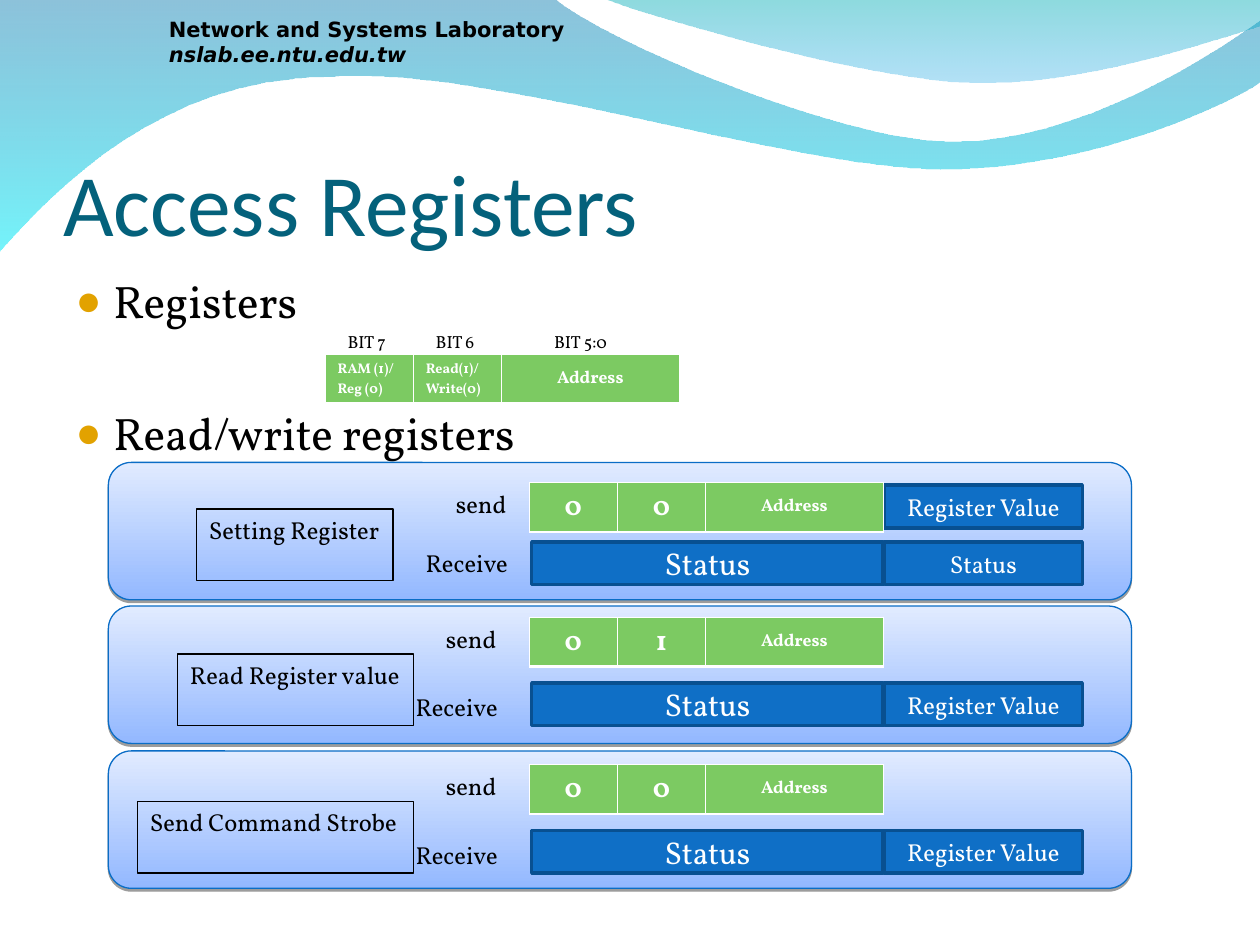
from lxml.etree import SubElement
from pptx import Presentation
from pptx.dml.color import RGBColor
from pptx.enum.shapes import MSO_SHAPE
from pptx.enum.text import MSO_ANCHOR, MSO_AUTO_SIZE, PP_ALIGN
from pptx.oxml.ns import qn
from pptx.util import Inches, Pt

WHITE = RGBColor(0xFF, 0xFF, 0xFF)
BLACK = RGBColor(0, 0, 0)
TEAL = RGBColor(0x04, 0x61, 0x7B)
GOLD = RGBColor(0xE2, 0xA2, 0x00)
GREEN = RGBColor(0x7C, 0xCA, 0x62)
BLUE = RGBColor(0x0F, 0x6F, 0xC6)
NAVY = RGBColor(0x08, 0x50, 0x91)
EDGE = RGBColor(0x0A, 0x6D, 0xC6)
PALE = RGBColor(0xE1, 0xEB, 0xFF)
SKY = RGBColor(0x93, 0xB8, 0xFF)
DEEP = RGBColor(0x00, 0x79, 0xAF)
AQUA = RGBColor(0x00, 0xEB, 0xF8)
SEA = RGBColor(0x00, 0xAD, 0xB6)
AZURE = RGBColor(0x00, 0x9B, 0xE5)
SERIF = "Vollkorn"

LOWER = [
    [(0, 0)], [(4.4, -0.01)],
    [(4.76, 0.3), (6.64, 1.12), (7.58, 1.12)],
    [(8.53, 1.12), (9.58, 0.46), (10, 0.16)],
    [(10.01, 0.64)],
    [(9.83, 0.78), (8.7, 1.34), (7.46, 1.34)],
    [(6.22, 1.33), (3.82, 0.5), (2.57, 0.61)],
    [(1.29, 0.63), (0.46, 1.47), (-0.01, 2)],
]
UPPER = [
    [(4.79, -0.01)],
    [(5.09, 0.11), (6.82, 0.62), (7.69, 0.65)],
    [(8.56, 0.69), (9.61, 0.32), (10, 0.21)],
    [(10, 0)],
]


def scale(box):
    return [Inches(n) for n in box]


def style(frame, size, color=BLACK, face=SERIF, bold=None, align=None):
    for para in frame.paragraphs:
        para.alignment = align
        for run in para.runs:
            run.font.size = Pt(size)
            run.font.name = face
            run.font.bold = bold
            run.font.color.rgb = color


def blend(shape, first, last, angle, alphas=()):
    shape.fill.gradient()
    shape.fill.gradient_angle = angle
    for stop, color, spot in zip(shape.fill.gradient_stops, (first, last), (0, 1)):
        stop.color.rgb = color
        stop.position = spot
    tints = shape._element.spPr.iter(qn("a:srgbClr"))
    for tint, alpha in zip(list(tints), alphas):
        SubElement(tint, qn("a:alpha"), val=str(alpha * 1000))


def add_wave(slide, parts, height, first, last, alphas):
    pen = slide.shapes.build_freeform(*scale(parts[0][0]))
    pen.add_line_segments([scale(part[-1]) for part in parts[1:]], close=True)
    wave = pen.convert_to_shape()
    wave.height = Inches(height)
    track = next(wave._element.iter(qn("a:path")))
    track.set("h", str(wave.height))
    for line, part in zip(track.findall(qn("a:lnTo")), parts[1:]):
        if len(part) == 3:
            line.tag = qn("a:cubicBezTo")
            line.remove(line[0])
            for x, y in part:
                SubElement(line, qn("a:pt"), x=str(Inches(x) - wave.left),
                           y=str(Inches(y) - wave.top))
    wave.shadow.inherit = False
    wave.line.fill.background()
    blend(wave, first, last, 270, alphas)


def add_note(slide, box, text, size):
    note = slide.shapes.add_textbox(*scale(box))
    note.text_frame.word_wrap = True
    note.text_frame.text = text
    style(note.text_frame, size)
    return note


def add_block(slide, box, text, size):
    block = slide.shapes.add_shape(MSO_SHAPE.RECTANGLE, *scale(box))
    block.shadow.inherit = False
    block.fill.solid()
    block.fill.fore_color.rgb = BLUE
    block.line.color.rgb = NAVY
    block.line.width = Pt(2)
    block.text_frame.text = text
    block.text_frame.vertical_anchor = MSO_ANCHOR.MIDDLE
    style(block.text_frame, size, WHITE, align=PP_ALIGN.CENTER)


def add_edge(cell, side, width):
    edge = SubElement(cell._tc.get_or_add_tcPr(), qn(f"a:{side}"), w=str(Pt(width)))
    SubElement(SubElement(edge, qn("a:solidFill")), qn("a:srgbClr"), val=str(WHITE))


def add_bits(slide, left, top, texts, size, align):
    grid = slide.shapes.add_table(1, 3, *scale((left, top, 2.81, 0.39))).table
    grid.first_row = grid.horz_banding = False
    for i, (text, width) in enumerate(zip(texts, (0.7, 0.7, 1.41))):
        grid.columns[i].width = Inches(width)
        cell = grid.cell(0, i)
        for side, line in (("lnL", 0.45), ("lnR", 0.45), ("lnT", 0.45), ("lnB", 1.47)):
            add_edge(cell, side, line)
        cell.fill.solid()
        cell.fill.fore_color.rgb = GREEN
        cell.text_frame.text = text
        wide = i == 2
        if wide:
            cell.vertical_anchor = MSO_ANCHOR.MIDDLE
        style(cell.text_frame, 10 if wide else size, WHITE, bold=True,
              align=PP_ALIGN.CENTER if wide else align)


def add_panel(slide, box):
    panel = slide.shapes.add_shape(MSO_SHAPE.ROUNDED_RECTANGLE, *scale(box))
    panel.shadow.inherit = False
    blend(panel, SKY, PALE, 90)
    panel.line.color.rgb = EDGE
    panel.line.width = Pt(0.75)
    glow = panel._element.spPr.find(qn("a:effectLst"))
    shade = SubElement(glow, qn("a:outerShdw"), dist=str(Pt(1.6)), dir="5400000", rotWithShape="0")
    tint = SubElement(shade, qn("a:srgbClr"), val=str(BLACK))
    SubElement(tint, qn("a:alpha"), val="38000")


def add_band(slide, box, name, frame, bits, value, reply, send, gap, drop, shift):
    left, top = box[:2]
    add_panel(slide, box)
    start = top + send
    back = start + gap
    mid = left + 3.36
    end = left + 6.16
    tag = slide.shapes.add_shape(
        MSO_SHAPE.RECTANGLE, *scale((left + frame[0], start + drop, frame[1], 0.57)))
    tag.shadow.inherit = False
    tag.fill.background()
    tag.line.color.rgb = BLACK
    tag.line.width = Pt(0.75)
    tag.text_frame.word_wrap = False
    tag.text_frame.vertical_anchor = MSO_ANCHOR.TOP
    tag.text_frame.text = name
    style(tag.text_frame, 14, align=PP_ALIGN.LEFT)
    add_note(slide, (left + 2.66 - shift, start, 0.7, 0.34), "send", 14)
    add_note(slide, (left + 2.42 - shift, back + shift / 3, 0.94, 0.34), "Receive", 14)
    if value:
        add_block(slide, (end, start + 0.02, 1.57, 0.34), value, 14)
    add_bits(slide, left + 3.34, start, (*bits, "Address"), 16, PP_ALIGN.CENTER)
    add_block(slide, (end, back, 1.57, 0.34), reply, 14)
    add_block(slide, (mid, back, 2.79, 0.34), "Status", 18)


def add_header(slide):
    add_wave(slide, LOWER, 2.01, DEEP, AQUA, (45, 55))
    add_wave(slide, UPPER, 0.7, SEA, AZURE, (45, 30))
    note = add_note(slide, (1.25, 0.09, 3.75, 0.49),
                    "Network and Systems Laboratory\nnslab.ee.ntu.edu.tw", 12)
    frame = note.text_frame
    frame.margin_left = frame.margin_right = Inches(0.09)
    frame.margin_top = frame.margin_bottom = Inches(0.04)
    style(frame, 12, face="DejaVu Sans", bold=True)
    frame.paragraphs[1].runs[0].font.italic = True


def set_holder(slide, holder, box, text):
    holder.left, holder.top, holder.width, holder.height = scale(box)
    slide.shapes._spTree.append(holder._element)
    holder.text_frame.auto_size = MSO_AUTO_SIZE.NONE
    holder.text_frame.text = text
    return holder.text_frame


def add_title(slide, box):
    frame = set_holder(slide, slide.shapes.title, box, "Access Registers")
    frame.vertical_anchor = MSO_ANCHOR.BOTTOM
    frame.margin_left = frame.margin_right = frame.margin_bottom = 0
    frame.margin_top = Inches(0.05)
    style(frame, 50, TEAL, "Calibri", align=PP_ALIGN.LEFT)


def add_list(slide, box):
    frame = set_holder(slide, slide.placeholders[1], box, "Registers\nRead/write registers")
    for para, space in zip(frame.paragraphs, (0, 44)):
        props = para._p.get_or_add_pPr()
        props.set("marL", str(Inches(0.3)))
        props.set("indent", str(-Inches(0.3)))
        SubElement(SubElement(props, qn("a:buClr")), qn("a:srgbClr"), val=str(GOLD))
        SubElement(props, qn("a:buSzPct"), val="95000")
        SubElement(props, qn("a:buChar"), char="●")
        para.space_before = Pt(space)
    style(frame, 26)


def add_format(slide, left, top):
    for text, shift, width in (("BIT 7", 0.08, 0.62), ("BIT 6", 0.78, 0.62), ("BIT 5:0", 1.72, 0.86)):
        add_note(slide, (left + shift, top, width, 0.27), text, 10)
    add_bits(slide, left, top + 0.23, ("RAM (1)/\nReg (0)", "Read(1)/\nWrite(0)", "Address"), 8, None)


def main():
    deck = Presentation()
    deck.slide_width, deck.slide_height = scale((10, 7.5))
    slide = deck.slides.add_slide(deck.slide_layouts[1])
    add_header(slide)
    add_title(slide, (0.5, 0.77, 9, 1.25))
    add_list(slide, (0.5, 2.12, 9, 4.8))
    add_format(slide, 2.58, 2.58)
    value = "Register Value"
    bands = (
        (3.67, "Setting Register", (0.7, 1.56), "00", value, "Status", 0.16, 0.47, 0.21, 0),
        (4.81, "Read Register value", (0.55, 1.87), "01", None, value, 0.09, 0.52, 0.29, 0.08),
        (5.96, "Send Command Strobe", (0.23, 2.19), "00", None, value, 0.11, 0.52, 0.29, 0.08),
    )
    for top, *band in bands:
        add_band(slide, (0.86, top, 8.12, 1.09), *band)
    deck.save("out.pptx")


if __name__ == "__main__":
    main()
